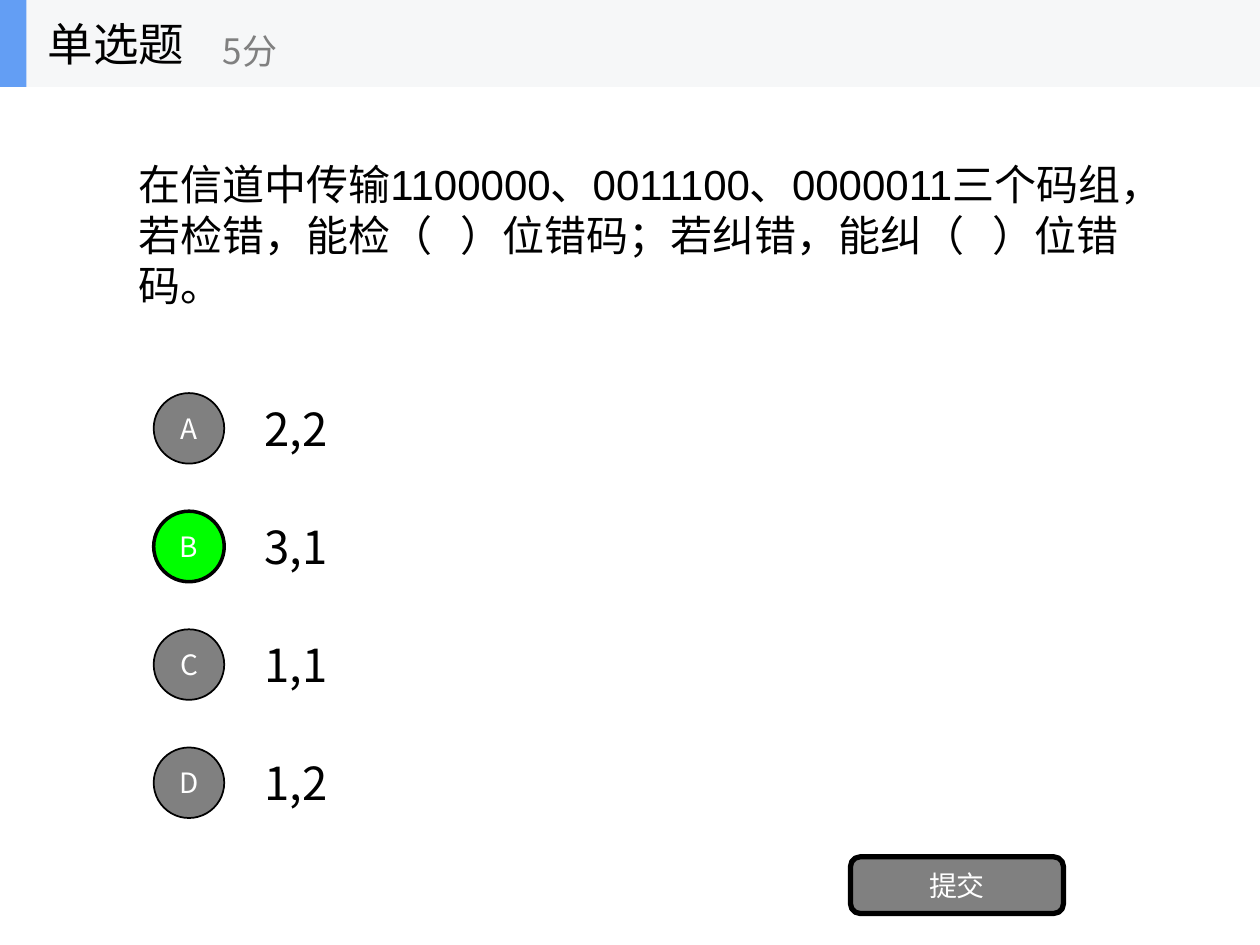
from pptx import Presentation
from pptx.dml.color import RGBColor
from pptx.enum.shapes import MSO_SHAPE as Form
from pptx.enum.text import MSO_ANCHOR as Anchor, PP_ALIGN as Align
from pptx.oxml.ns import qn
from pptx.util import Inches, Pt
from lxml.etree import SubElement

SANS = "Noto Sans CJK SC"
HUES = {
    "ink": "000000", "white": "FFFFFF", "gray": "808080",
    "right": "00FF00", "band": "F6F7F8", "accent": "639EF4",
}


def hue(name):
    """Return the colour with the given name."""
    return RGBColor.from_string(HUES[name])


def write(shape, text, size=26, color="ink", font=SANS, align=Align.LEFT, wrap=True):
    """Put formatted text into a shape."""
    frame = shape.text_frame
    frame.word_wrap = wrap
    frame.vertical_anchor = Anchor.MIDDLE
    para = frame.paragraphs[0]
    para.alignment = align
    run = para.add_run()
    run.text = text
    run.font.size = Pt(size)
    run.font.color.rgb = hue(color)
    run.font.name = font
    SubElement(run.font._element, qn("a:ea"), typeface=SANS)


class Quiz:
    """Holds the style and the current slide."""

    def __init__(self, deck):
        """Add a blank slide to the deck."""
        self.slide = deck.slides.add_slide(deck.slide_layouts[6])
        self.shapes = self.slide.shapes

    def text(self, words, box, home=None, **style):
        """Add a text box."""
        shape = (home or self.shapes).add_textbox(*map(Inches, box))
        write(shape, words, **style)

    def block(self, form, box, fill, line=0, home=None):
        """Add a filled shape with an optional outline."""
        shape = (home or self.shapes).add_shape(form, *map(Inches, box))
        shape.shadow.inherit = False
        shape.fill.solid()
        shape.fill.fore_color.rgb = hue(fill)
        if line:
            shape.line.color.rgb = hue("ink")
            shape.line.width = Pt(line)
        else:
            shape.line.fill.background()
        return shape

    def button(self, words, form, box, fill="gray", line=1):
        """Add an outlined shape with a centred label."""
        shape = self.block(form, box, fill, line)
        write(shape, words, size=16, color="white", align=Align.CENTER, wrap=False)
        return shape

    def header(self, title, score):
        """Add the grouped title band."""
        home = self.shapes.add_group_shape().shapes
        self.block(Form.RECTANGLE, (0, 0, 10, 0.69), "band", home=home)
        self.block(Form.RECTANGLE, (0, 0, 0.21, 0.69), "accent", home=home)
        self.text(title, (0.28, 0, 2.08, 0.69), home)
        self.text(score, (1.67, 0.12, 2.5, 0.56), home, size=20, color="gray")

    def choices(self, answers, right):
        """Add lettered answers at an even pitch, marking the right one."""
        rows = [(mark, words, 3.05 + 0.9375 * i)
                for i, (mark, words) in enumerate(answers.items())]
        for mark, words, top in rows:
            self.text(words, (2, top, 7, 0.7))
        for mark, words, top in rows:
            fill, line = ("right", 2) if mark == right else ("gray", 1)
            self.button(mark, Form.OVAL, (1.22, top + 0.07, 0.56, 0.56), fill, line)


def main():
    """Build the quiz slide."""
    deck = Presentation()
    deck.slide_width, deck.slide_height = Inches(10), Inches(7.5)
    quiz = Quiz(deck)
    quiz.text(
        "在信道中传输1100000、0011100、0000011三个码组，"
        "若检错，能检（   ）位错码；若纠错，能纠（   ）位错码。",
        (1, 0.69, 8, 2.34), size=24, font="Arial")
    quiz.choices({"A": "2,2", "B": "3,1", "C": "1,1", "D": "1,2"}, right="B")
    submit = quiz.button("提交", Form.ROUNDED_RECTANGLE, (6.75, 6.8, 1.69, 0.45), line=3)
    submit.adjustments[0] = 0.17
    quiz.header("单选题", "5分")
    deck.save("out.pptx")


if __name__ == "__main__":
    main()
